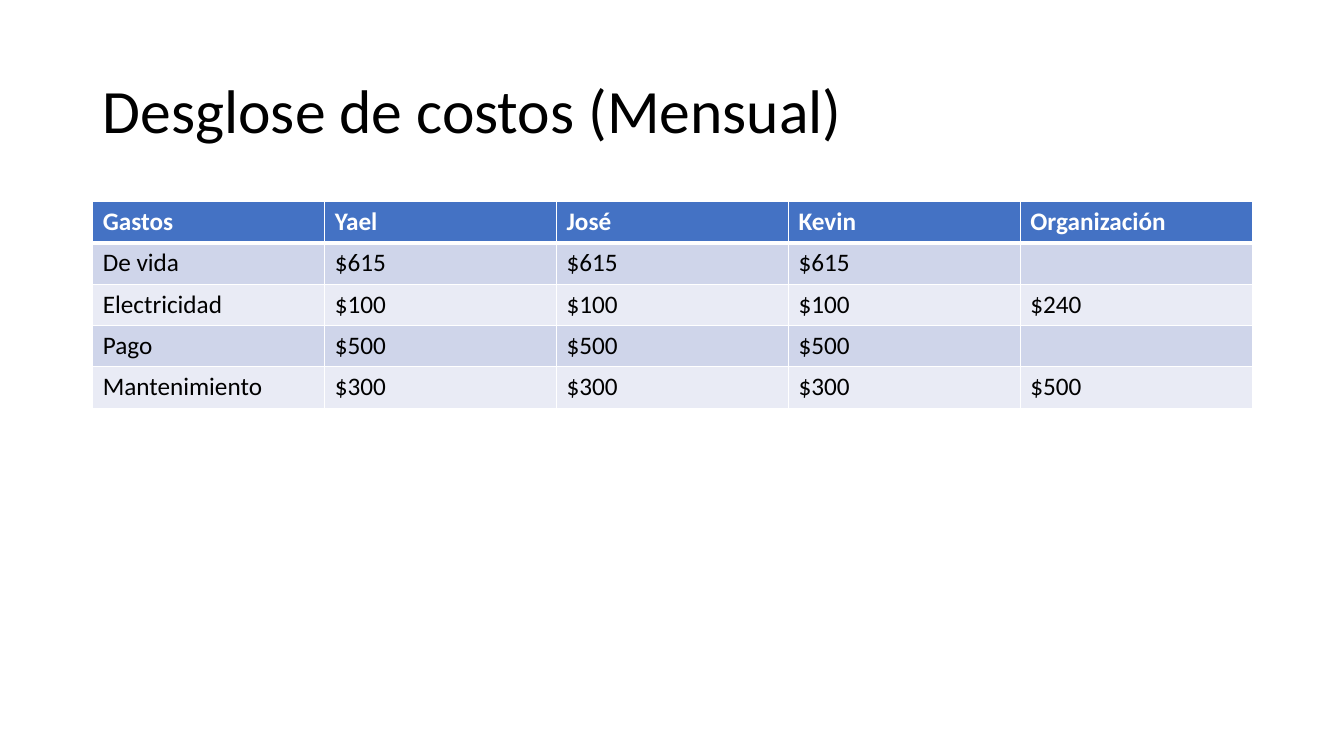
from dataclasses import dataclass

from lxml import etree
from pptx import Presentation
from pptx.dml.color import RGBColor
from pptx.enum import text
from pptx.oxml import ns
from pptx.util import Inches, Pt

FONT = "Calibri"
WHITE, BLACK = "FFFFFF", "000000"
HEAD = "4472C4"
BANDS = ("CFD5EA", "E9EBF5")
LEFT, WIDTH = 0.92, 11.5
ROW = 0.41


@dataclass
class Cost:
    name: str
    each: str
    group: str = ""

    def cells(self) -> list[str]:
        return [self.name] + [self.each] * 3 + [self.group]


HEADS = ["Gastos", "Yael", "José", "Kevin", "Organización"]
COSTS = [
    Cost("De vida", "$615"),
    Cost("Electricidad", "$100", "$240"),
    Cost("Pago", "$500"),
    Cost("Mantenimiento", "$300", "$500"),
]


def style(par, size: float, color: str, bold: bool = False) -> None:
    font = par.font
    font.name, font.size, font.bold = FONT, Pt(size), bold
    font.color.rgb = RGBColor.from_string(color)


def border(cell, side: str, width: float) -> None:
    props = cell._tc.get_or_add_tcPr()
    line = etree.SubElement(props, ns.qn(f"a:ln{side}"), w=str(Pt(width)))
    fill = etree.SubElement(line, ns.qn("a:solidFill"))
    etree.SubElement(fill, ns.qn("a:srgbClr"), val=WHITE)


def add_title(slide, words: str) -> None:
    title = slide.shapes.title
    title.left, title.top = Inches(LEFT), Inches(0.4)
    title.width, title.height = Inches(WIDTH), Inches(1.45)
    frame = title.text_frame
    frame.text = words
    frame.vertical_anchor = text.MSO_ANCHOR.MIDDLE
    par = frame.paragraphs[0]
    par.alignment = text.PP_ALIGN.LEFT
    par.line_spacing = 0.9
    style(par, 44, BLACK)


def add_costs(slide, rows: list[list[str]]) -> None:
    table = slide.shapes.add_table(
        len(rows), len(HEADS), Inches(LEFT), Inches(2),
        Inches(WIDTH), Inches(ROW * len(rows))).table
    for r, row in enumerate(rows):
        table.rows[r].height = Inches(ROW)
        head = r == 0
        for c, words in enumerate(row):
            cell = table.cell(r, c)
            cell.text = words
            style(cell.text_frame.paragraphs[0], 18,
                  WHITE if head else BLACK, head)
            # Borders precede the fill in a cell's properties.
            for side in "LRTB":
                thick = (r, side) in ((0, "B"), (1, "T"))
                border(cell, side, 3 if thick else 1)
            cell.fill.solid()
            color = HEAD if head else BANDS[(r - 1) % 2]
            cell.fill.fore_color.rgb = RGBColor.from_string(color)


def main() -> None:
    deck = Presentation()
    deck.slide_width, deck.slide_height = Inches(13.33), Inches(7.5)
    slide = deck.slides.add_slide(deck.slide_layouts.get_by_name("Title Only"))
    add_title(slide, "Desglose de costos (Mensual)")
    add_costs(slide, [HEADS] + [cost.cells() for cost in COSTS])
    deck.save("out.pptx")


if __name__ == "__main__":
    main()
